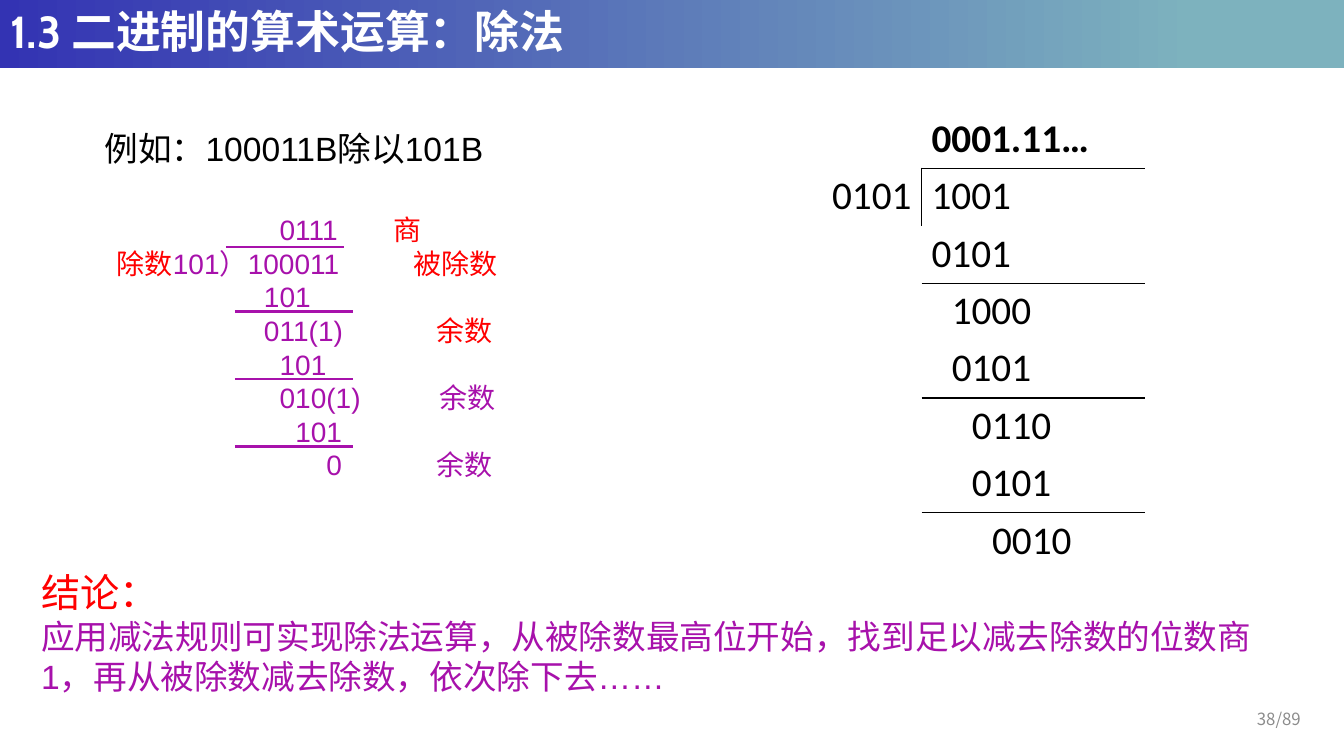
import pptx
import pptx.dml.color
import pptx.enum.lang
import pptx.enum.shapes
import pptx.enum.text
import pptx.oxml.ns
import pptx.util
from lxml import etree

In, Pt = pptx.util.Inches, pptx.util.Pt
qn = pptx.oxml.ns.qn
PP = pptx.enum.text.PP_ALIGN
ANCHOR = pptx.enum.text.MSO_ANCHOR
W, H = 13.33, 7.5
RED, PURPLE, BLACK, WHITE, GREY = "FF0000", "A711AB", "000000", "FFFFFF", "8C8C8C"
CJK = "Noto Sans CJK SC"

# Long division on the left: first digit column, digit width, rule length
DIGIT_LEFT, DIGIT_W, LINE_W = 1.46, 0.155, 1.17
# (digit column, digits, remark position, remark, remark colour)
STEPS = [
    (1, "0111", 2.74, "商", RED),
    (None, "101）100011", 2.94, "被除数", RED),
    (0, "101", None, "", PURPLE),
    (0, "011(1)", 3.17, "余数", RED),
    (1, "101", None, "", PURPLE),
    (1, "010(1)", 3.2, "余数", PURPLE),
    (2, "101", None, "", PURPLE),
    (4, "0", 3.17, "余数", PURPLE),
]
RULES = [(2.24, 2.45), (2.33, 3.09), (2.33, 3.76), (2.33, 4.43)]

# Division table on the right: (digits to skip, digits, line below)
ROW_H, BIG_DIGIT_W = 0.57, 0.2
ROWS = [
    (0, "0001.11…", True),
    (0, "1001", False),
    (0, "0101", True),
    (1, "1000", False),
    (1, "0101", True),
    (2, "0110", False),
    (2, "0101", True),
    (3, "0010", False),
]


def rgb(code):
    return pptx.dml.color.RGBColor.from_string(code)


def style(p, size, color, name="Arial", ea="Arial", bold=False, spacing=1.0):
    """Format a whole paragraph."""
    f = p.font
    f.size, f.name, f.bold = Pt(size), name, bold
    f.color.rgb = rgb(color)
    etree.SubElement(f._rPr, qn("a:ea"), typeface=ea)
    p.line_spacing = spacing


def add_run(p, text, color=None):
    r = p.add_run()
    r.text = text
    if color:
        r.font.color.rgb = rgb(color)


def add_text(s, x, y, w, h):
    tf = s.shapes.add_textbox(In(x), In(y), In(w), In(h)).text_frame
    tf.word_wrap = True
    return tf


def add_tabs(p, positions):
    tabs = etree.SubElement(p._p.get_or_add_pPr(), qn("a:tabLst"))
    for pos in positions:
        etree.SubElement(tabs, qn("a:tab"), pos=str(In(pos)), algn="l")


def add_rule(s, x, y):
    line = s.shapes.add_connector(pptx.enum.shapes.MSO_CONNECTOR.STRAIGHT,
                                  In(x), In(y), In(x + LINE_W), In(y))
    line.line.color.rgb = rgb(PURPLE)
    line.line.width = Pt(1.75)
    etree.SubElement(line._element.spPr, qn("a:effectLst"))


def add_borders(cell, black_sides):
    tcPr = cell._tc.get_or_add_tcPr()
    for side in "LRTB":
        ln = etree.SubElement(tcPr, qn("a:ln" + side), w=str(Pt(1)))
        if side in black_sides:
            fill = etree.SubElement(ln, qn("a:solidFill"))
            etree.SubElement(fill, qn("a:srgbClr"), val=BLACK)
        else:
            etree.SubElement(ln, qn("a:noFill"))


def add_title(s, text):
    """Title placeholder that fills the gradient bar."""
    sp = s.shapes.title
    sp.left, sp.top, sp.width, sp.height = 0, 0, In(W), In(0.68)
    sp.fill.gradient()
    sp.fill.gradient_angle = 0
    for stop, (pos, color) in zip(sp.fill.gradient_stops,
                                  [(0, "3333B3"), (0.89, "7DB2BE")]):
        stop.position = pos
        stop.color.rgb = rgb(color)
    tf = sp.text_frame
    tf.text = text
    tf.auto_size = pptx.enum.text.MSO_AUTO_SIZE.NONE
    tf.vertical_anchor = ANCHOR.MIDDLE
    p = tf.paragraphs[0]
    p.alignment = PP.LEFT
    style(p, 32, WHITE, "Cabin", CJK, True, 0.9)


def add_steps(s):
    tf = add_text(s, 1.06, 2.06, 4.05, 2.79)
    for i, (col, digits, remark_at, remark, color) in enumerate(STEPS):
        p = tf.add_paragraph() if i else tf.paragraphs[0]
        stops = [] if col is None else [DIGIT_LEFT + col * DIGIT_W]
        add_tabs(p, stops + ([remark_at] if remark else []))
        style(p, 20, PURPLE)
        if col is None:
            add_run(p, "除数", RED)
            add_run(p, digits)
        else:
            add_run(p, "\t" + digits)
        if remark:
            add_run(p, "\t" + remark, color)
    for x, y in RULES:
        add_rule(s, x, y)


def add_division_table(s):
    widths = [1.1, 2.22]
    frame = s.shapes.add_table(len(ROWS), 2, In(8.04), In(1.1),
                               In(sum(widths)), In(ROW_H * len(ROWS)))
    table = frame.table
    table.first_row = table.horz_banding = False
    for column, width in zip(table.columns, widths):
        column.width = In(width)
    for i, (skip, digits, below) in enumerate(ROWS):
        divisor = "0101" if i == 1 else ""
        sides = ("B" if below else "") + ("T" if i and ROWS[i - 1][2] else "")
        left_sides = "R" if divisor else ""
        if divisor:
            sides += "L"
        for j, (text, black) in enumerate([(divisor, left_sides), (digits, sides)]):
            cell = table.cell(i, j)
            add_borders(cell, black)
            cell.fill.background()
            cell.margin_top = cell.margin_bottom = In(0.04)
            cell.text = text
            p = cell.text_frame.paragraphs[0]
            if j:
                p._p.get_or_add_pPr().set("marL", str(In(skip * BIG_DIGIT_W)))
            else:
                p.alignment = PP.RIGHT
            style(p, 28, BLACK, "Calibri", "Calibri", i == 0)


def main():
    prs = pptx.Presentation()
    prs.slide_width, prs.slide_height = In(W), In(H)
    s = prs.slides.add_slide(prs.slide_layouts[5])
    add_title(s, "1.3 二进制的算术运算：除法")

    # Conclusion
    tf = add_text(s, 0.31, 5.36, 12.71, 1.62)
    tf.text = "结论："
    style(tf.paragraphs[0], 28, RED, CJK, spacing=1.5)
    p = tf.add_paragraph()
    p.text = "应用减法规则可实现除法运算，从被除数最高位开始，找到足以减去除数的位数商1，再从被除数减去除数，依次除下去……"
    style(p, 24, PURPLE)
    p.font.language_id = pptx.enum.lang.MSO_LANGUAGE_ID.SIMPLIFIED_CHINESE

    # Worked example
    tf = add_text(s, 0.94, 1.22, 4.02, 0.5)
    tf.text = "例如：100011B除以101B"
    style(tf.paragraphs[0], 24, BLACK)
    add_steps(s)
    add_division_table(s)

    # Page number
    tf = add_text(s, 10, 6.93, 3, 0.4)
    tf.text = "38/89"
    tf.vertical_anchor = ANCHOR.MIDDLE
    tf.paragraphs[0].alignment = PP.RIGHT
    style(tf.paragraphs[0], 12, GREY, CJK, CJK)

    prs.save("out.pptx")


if __name__ == "__main__":
    main()
